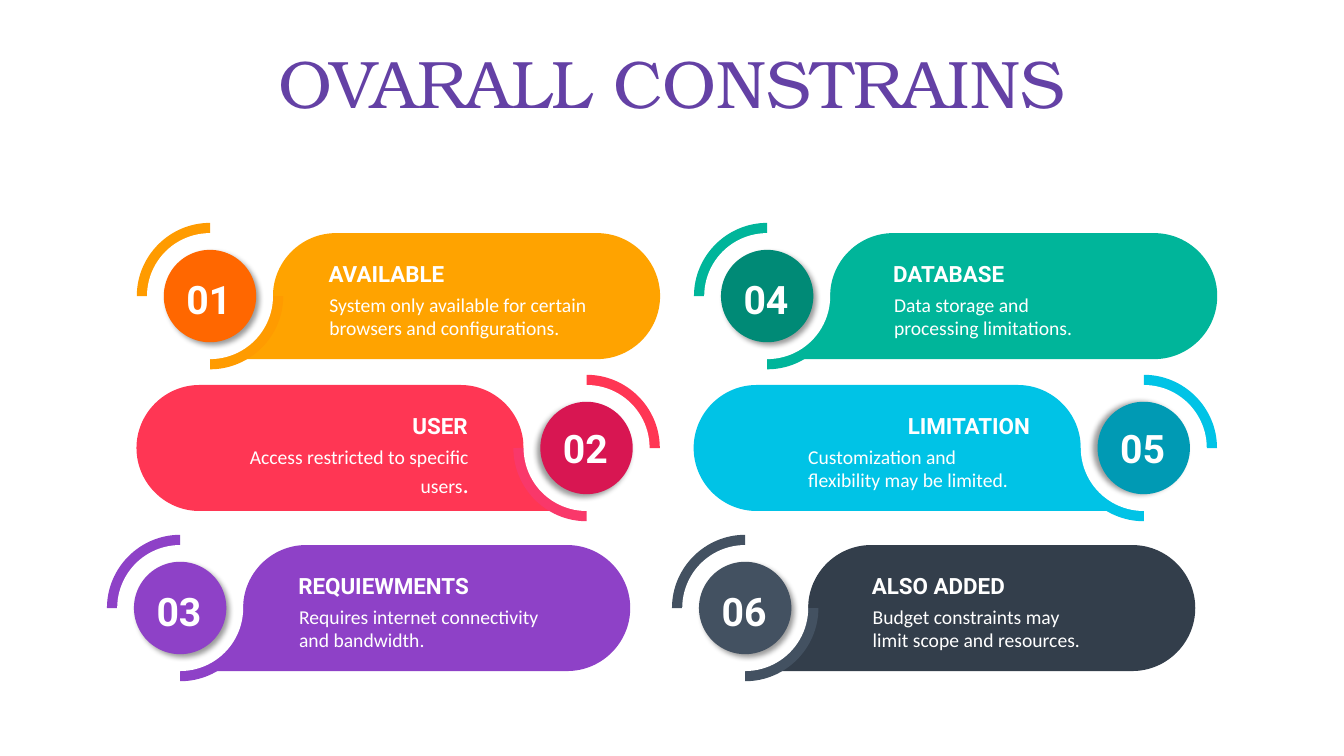
"""Build a slide of six numbered constraint cards."""
from dataclasses import dataclass
from math import cos, radians, sin

from lxml import etree
from pptx import Presentation
from pptx.dml.color import RGBColor
from pptx.enum.shapes import MSO_SHAPE
from pptx.enum.text import MSO_ANCHOR, MSO_AUTO_SIZE, PP_ALIGN
from pptx.oxml.ns import qn
from pptx.util import Pt

OVAL = MSO_SHAPE.OVAL
MIDDLE, TOP = MSO_ANCHOR.MIDDLE, MSO_ANCHOR.TOP
LEFT, CENTER, RIGHT = PP_ALIGN.LEFT, PP_ALIGN.CENTER, PP_ALIGN.RIGHT
NONE, GROW = MSO_AUTO_SIZE.NONE, MSO_AUTO_SIZE.SHAPE_TO_FIT_TEXT

COLORS = {
    "title": "6441A5", "white": "FFFFFF", "black": "000000",
    "amber": "FFA300", "gold": "FF9B00", "orange": "FF6700",
    "red": "FF3654", "pink": "F9386A", "ruby": "D81652",
    "purple": "8E41C7", "green": "00B59A", "jade": "008A76",
    "cyan": "00C3E6", "teal": "009AB4", "slate": "333E4B", "steel": "435161",
}
ROWS = (211.5, 320, 434.3)
GAP, RING, DISK = 45, 52.3, 33
FAR = 276.5
BEND = 0.55

Point = tuple[float, float]
Run = tuple[str, float]


@dataclass
class Card:
    num: str
    head: str
    runs: list[Run]
    x: float
    row: int
    left: float
    tints: tuple[str, str, str, str]
    wide: float = 173.5
    side: int = 1
    align: PP_ALIGN = LEFT
    angle: int = 45


CARDS = [
    Card("01", "AVAILABLE",
         [("System only available for certain browsers and configurations.", 14)],
         150, 0, 234.7, ("amber", "gold", "gold", "orange"), wide=211),
    Card("02", "USER", [("Access restricted to specific users", 14), (".", 18)],
         419, 1, 175, ("red", "red", "pink", "ruby"),
         side=-1, align=RIGHT, angle=135),
    Card("04", "DATABASE", [("Data storage and processing limitations.", 14)],
         548, 0, 638, ("green", "green", "green", "jade")),
    Card("05", "LIMITATION", [("Customization and flexibility may be limited.", 14)],
         817, 1, 576.7, ("cyan", "cyan", "cyan", "teal"), side=-1, angle=180),
    Card("03", "REQUIEWMENTS", [("Requires internet connectivity and bandwidth.", 14)],
         128.7, 2, 213.1, ("purple",) * 4, wide=196.6),
    Card("06", "ALSO ADDED", [("Budget constraints may limit scope and resources.", 14)],
         532.3, 2, 622.8, ("slate", "steel", "steel", "steel")),
]


def tint(name: str) -> RGBColor:
    """Return a named colour."""
    return RGBColor.from_string(COLORS[name])


def paint(shape, name: str) -> None:
    """Fill a shape and drop its line and shadow."""
    shape.shadow.inherit = False
    shape.fill.solid()
    shape.fill.fore_color.rgb = tint(name)
    shape.line.fill.background()


def arc(x: float, radius: float, start: int, turn: int = 1) -> list[Point]:
    """Return two controls and the end of a quarter arc centred on the axis."""
    a, b = radians(start), radians(start + 90 * turn)
    bend = BEND * turn
    spots = [(cos(a) - bend * sin(a), sin(a) + bend * cos(a)),
             (cos(b) + bend * sin(b), sin(b) - bend * cos(b)),
             (cos(b), sin(b))]
    return [(x + radius * u, radius * v) for u, v in spots]


def outline(shapes, card: Card, parts: list[list[Point]], name: str) -> None:
    """Draw a closed outline of lines (one point) and curves (three points)."""
    spots = [(Pt(card.x + card.side * x), Pt(ROWS[card.row] + y))
             for part in parts for x, y in part]
    form = shapes.build_freeform(*spots[0])
    form.add_line_segments(spots[1:], close=True)
    shape = form.convert_to_shape()
    lines = iter(list(shape._element.iter(qn("a:lnTo"))))
    for part in parts[1:]:
        first = next(lines)
        if len(part) == 3:
            first.tag = qn("a:cubicBezTo")
            for more in (next(lines), next(lines)):
                first.append(more[0])
                more.getparent().remove(more)
    paint(shape, name)


def circle(shapes, card: Card, radius: float, name: str):
    """Draw a circle on the card's centre."""
    shape = shapes.add_shape(OVAL, Pt(card.x - radius), Pt(ROWS[card.row] - radius),
                             Pt(2 * radius), Pt(2 * radius))
    paint(shape, name)
    return shape


def shade(shape, angle: int) -> None:
    """Give a shape a soft outer shadow."""
    effects = shape._element.spPr.find(qn("a:effectLst"))
    outer = etree.SubElement(effects, qn("a:outerShdw"), blurRad=str(Pt(4)),
                             dist=str(Pt(3)), dir=str(angle * 60000),
                             algn="ctr", rotWithShape="0")
    color = etree.SubElement(outer, qn("a:srgbClr"), val=COLORS["black"])
    etree.SubElement(color, qn("a:alpha"), val="40000")


def write(para, runs: list[Run], face: str, name: str, bold: bool = False) -> None:
    """Add formatted runs to a paragraph."""
    for text, size in runs:
        run = para.add_run()
        run.text = text
        run.font.name, run.font.size, run.font.bold = face, Pt(size), bold
        run.font.color.rgb = tint(name)


def label(shapes, box: tuple[float, float, float, float], runs: list[Run],
          align: PP_ALIGN, strong: bool) -> None:
    """Add a white text box, bold and without insets when strong."""
    frame = shapes.add_textbox(*map(Pt, box)).text_frame
    frame.word_wrap, frame.auto_size = True, GROW
    frame.vertical_anchor = MIDDLE if strong else TOP
    para = frame.paragraphs[0]
    para.alignment = align
    if strong:
        frame.margin_left = frame.margin_right = 0
        frame.margin_top = frame.margin_bottom = 0
        para.space_after = Pt(12)
    write(para, runs, "Roboto" if strong else "Calibri", "white", strong)


def draw(shapes, card: Card) -> None:
    """Draw one card with its ring, disk and texts."""
    pill, upper, lower, disk = card.tints
    y = ROWS[card.row]
    outline(shapes, card, [[(0, GAP)], arc(0, GAP, 90, -1), arc(2 * GAP, GAP, 180),
                           [(FAR, -GAP)], arc(FAR, GAP, 270), arc(FAR, GAP, 0)], pill)
    outline(shapes, card, [[(0, 0)], [(-RING, 0)], arc(0, RING, 180)], upper)
    outline(shapes, card, [[(0, 0)], [(RING, 0)], arc(0, RING, 0)], lower)
    circle(shapes, card, GAP, "white")
    shade(circle(shapes, card, DISK, disk), card.angle)

    side = LEFT if card.side > 0 else RIGHT
    rise = 15 if card.side > 0 else 17.3
    label(shapes, (card.left, y - 25.8, 159, 19.4), [(card.head, 16)], side, True)
    label(shapes, (card.left - 6.5, y - 6, card.wide, 41), card.runs, card.align, False)
    label(shapes, (card.x - 23.5, y - rise, 45.4, 33.9), [(card.num, 28)], CENTER, True)


def main() -> None:
    """Build and save the slide."""
    deck = Presentation()
    deck.slide_width, deck.slide_height = Pt(960), Pt(540)
    slide = deck.slides.add_slide(deck.slide_layouts[5])
    title = slide.shapes.title
    title.left, title.top, title.width, title.height = map(Pt, (40.5, 36, 878.5, 52))
    frame = title.text_frame
    frame.auto_size, frame.vertical_anchor = NONE, MIDDLE
    frame.margin_left = frame.margin_right = 0
    frame.margin_top = frame.margin_bottom = 0
    para = frame.paragraphs[0]
    para.alignment, para.line_spacing = CENTER, 0.9
    write(para, [("OVARALL CONSTRAINS", 48)], "TeX Gyre Bonum", "title")
    for card in CARDS:
        draw(slide.shapes, card)
    deck.save("out.pptx")


if __name__ == "__main__":
    main()
